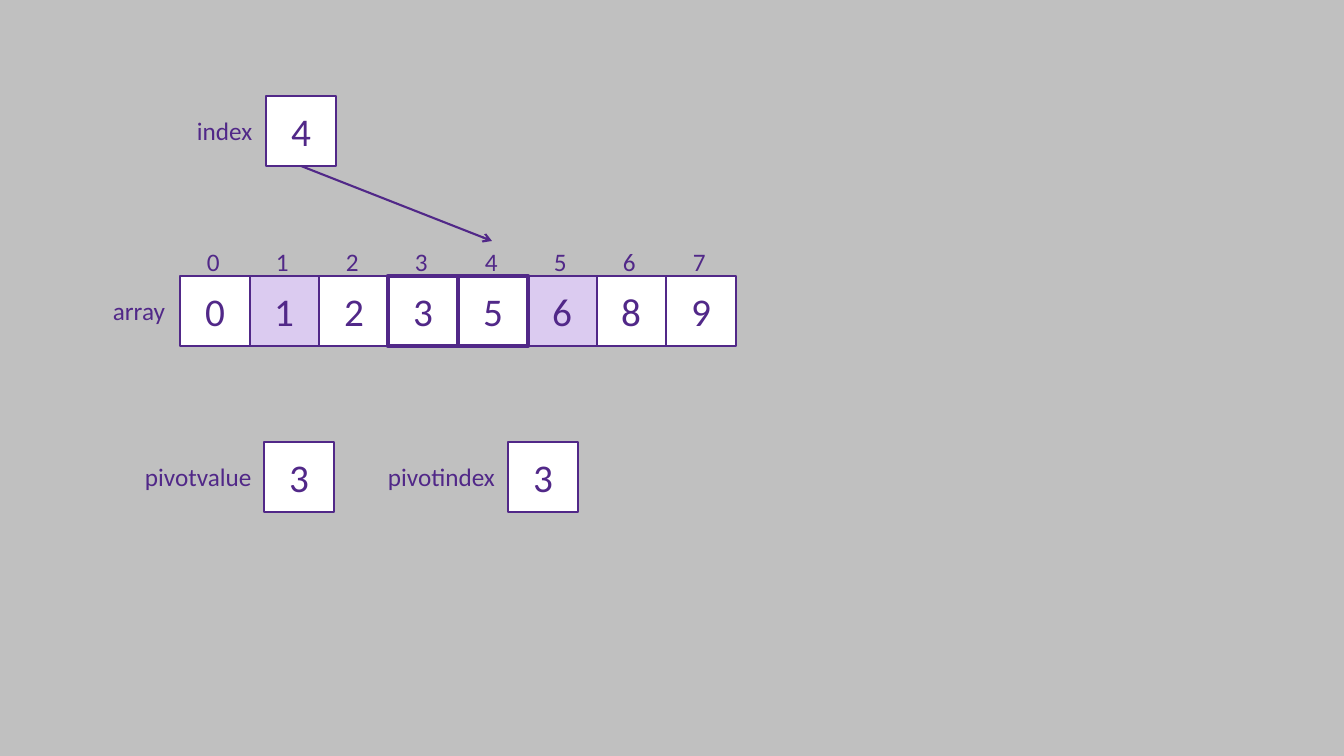
from pptx import Presentation
from pptx.dml.color import RGBColor
from pptx.enum.shapes import MSO_CONNECTOR, MSO_SHAPE
from pptx.enum.text import MSO_ANCHOR, MSO_AUTO_SIZE, PP_ALIGN
from pptx.oxml.ns import qn
from pptx.util import Pt
from lxml import etree

RECTANGLE = MSO_SHAPE.RECTANGLE
STRAIGHT = MSO_CONNECTOR.STRAIGHT
MIDDLE = MSO_ANCHOR.MIDDLE
FIT_SHAPE = MSO_AUTO_SIZE.SHAPE_TO_FIT_TEXT
LEFT, CENTER = PP_ALIGN.LEFT, PP_ALIGN.CENTER

PURPLE = RGBColor(0x51, 0x28, 0x88)
LILAC = RGBColor(0xDB, 0xCB, 0xF0)
WHITE = RGBColor(0xFF, 0xFF, 0xFF)
GRAY = RGBColor(0xC0, 0xC0, 0xC0)

SLIDE_WIDTH, SLIDE_HEIGHT = 1344, 756
CELL = 70
LABEL_HEIGHT = 40
LABEL_DROP = 14

ARRAY = [0, 1, 2, 3, 5, 6, 8, 9]
ARRAY_LEFT, ARRAY_TOP, ARRAY_WIDTH = 180, 276, 555
SHADED = {1, 5}
COMPARED = {3, 4}

# Name, value, box left, box top, label left, label width
VARIABLES = [
    ("pivotvalue", 3, 264, 442, 135, 128),
    ("pivotindex", 3, 508, 442, 378, 129),
    ("index", 4, 266, 96, 187, 76),
]


def px(length):
    return round(length * 12192000 / SLIDE_WIDTH)


class Diagram:
    font = "Calibri"
    label_size = Pt(18)
    value_size = Pt(28)

    def __init__(self, page):
        self.page = page

    def background(self, color):
        fill = self.page.background.fill
        fill.solid()
        fill.fore_color.rgb = color

    def add_text(self, frame, text, size, align):
        para = frame.paragraphs[0]
        para.alignment = align
        span = para.add_run()
        span.text = str(text)
        span.font.name = self.font
        span.font.size = size
        span.font.color.rgb = PURPLE

    def label(self, text, left, top, width):
        box = self.page.shapes.add_textbox(
            px(left), px(top), px(width), px(LABEL_HEIGHT))
        box.text_frame.word_wrap = False
        box.text_frame.auto_size = FIT_SHAPE
        self.add_text(box.text_frame, text, self.label_size, LEFT)

    def cell(self, value, left, top, color=WHITE, weight=1):
        box = self.page.shapes.add_shape(
            RECTANGLE, px(left), px(top), px(CELL), px(CELL))
        box.shadow.inherit = False
        box.fill.solid()
        box.fill.fore_color.rgb = color
        box.line.color.rgb = PURPLE
        box.line.width = Pt(weight)
        box.text_frame.vertical_anchor = MIDDLE
        self.add_text(box.text_frame, value, self.value_size, CENTER)

    def arrow(self, start_x, start_y, end_x, end_y):
        line = self.page.shapes.add_connector(
            STRAIGHT, px(start_x), px(start_y), px(end_x), px(end_y))
        line.line.color.rgb = PURPLE
        line.line.width = Pt(1.5)
        properties = line._element.spPr
        etree.SubElement(properties.find(qn("a:ln")), qn("a:tailEnd"), type="arrow")
        etree.SubElement(properties, qn("a:effectLst"))


def main():
    deck = Presentation()
    deck.slide_width, deck.slide_height = px(SLIDE_WIDTH), px(SLIDE_HEIGHT)
    diagram = Diagram(deck.slides.add_slide(deck.slide_layouts[6]))
    diagram.background(GRAY)

    # Array name and positions
    diagram.label("array", 103, ARRAY_TOP + LABEL_DROP, 73)
    lefts = [ARRAY_LEFT + round(i * ARRAY_WIDTH / len(ARRAY))
             for i in range(len(ARRAY))]
    for position, left in enumerate(lefts):
        diagram.label(position, left + 17, 241, 33)

    # Array cells, with the compared pair on top
    for position in sorted(range(len(ARRAY)), key=lambda i: (i in COMPARED, -i)):
        diagram.cell(ARRAY[position], lefts[position], ARRAY_TOP,
                     LILAC if position in SHADED else WHITE,
                     3 if position in COMPARED else 1)

    # Variables beside their names
    for name, value, left, top, label_left, label_width in VARIABLES:
        diagram.cell(value, left, top)
        diagram.label(name, label_left, top + LABEL_DROP, label_width)

    # Pointer from index into the array
    diagram.arrow(301, 166, 492, 241)

    deck.save("out.pptx")


if __name__ == "__main__":
    main()
